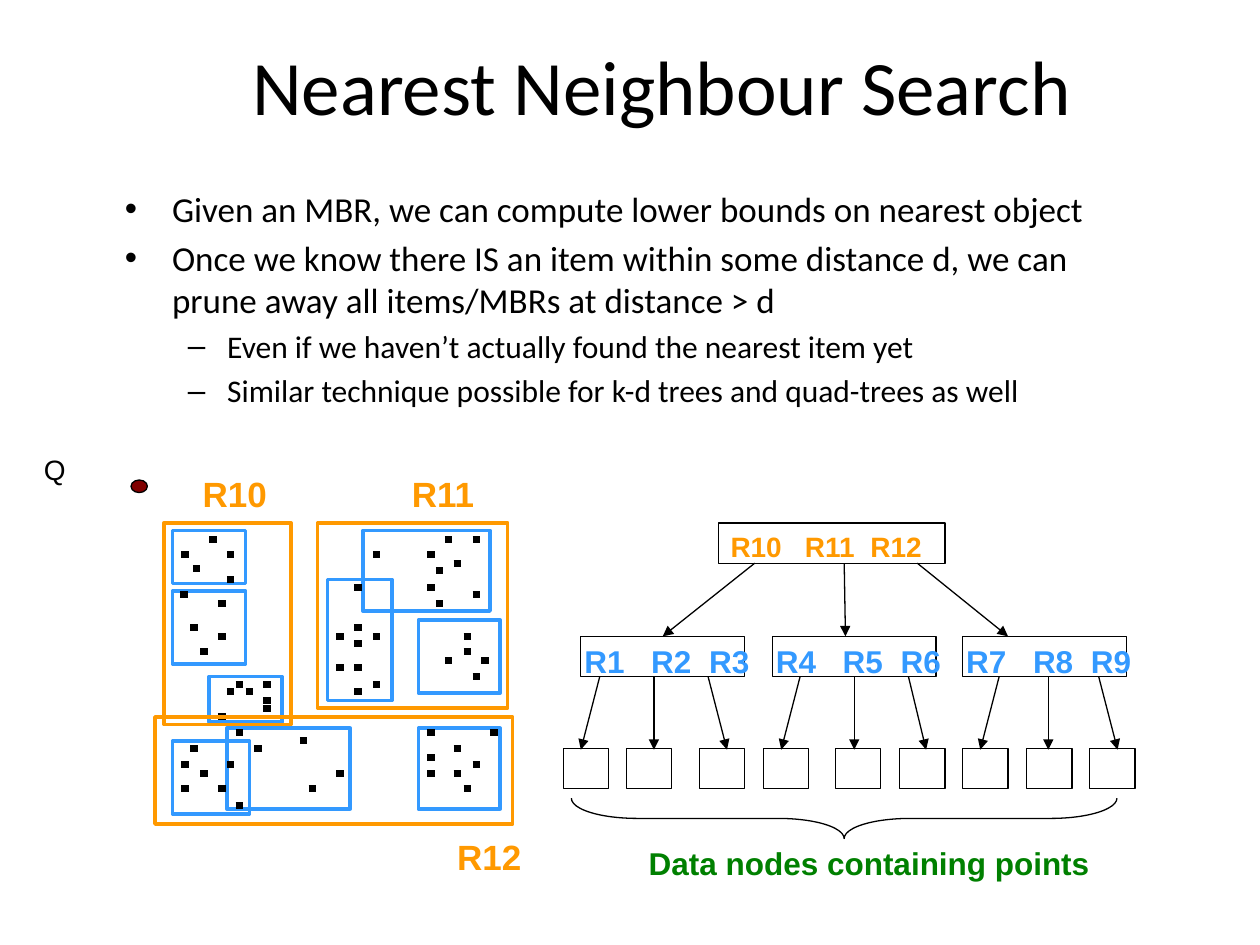
"""Build a slide on nearest neighbour search with an R-tree."""
from dataclasses import dataclass

from lxml import etree
from pptx import Presentation
from pptx import util as u
from pptx.dml.color import RGBColor
from pptx.enum import shapes
from pptx.oxml.ns import qn

PX = u.Inches(1) // 100


@dataclass(frozen=True)
class Theme:
    """Colours, fonts, type sizes and line widths."""
    black: str = "000000"
    orange: str = "FF9900"
    blue: str = "3399FF"
    green: str = "008000"
    maroon: str = "800000"
    heading_font: str = "Calibri"
    label_font: str = "Arial"
    title: int = 44
    large: int = 20
    medium: int = 18
    small: int = 16
    thin: float = 0.75
    region: int = 2
    dot: int = 4


class SlideBuilder:
    """Holds the theme and the current slide, and draws each kind of element."""

    def __init__(self, slide, theme):
        self.slide = slide
        self.theme = theme

    def place(self, shape, box):
        """Move a shape to a box of left, top, width and height."""
        shape.left, shape.top, shape.width, shape.height = (v * PX for v in box)

    def style(self, paragraph, font_name, size, color, bold=False):
        """Set the font of a whole paragraph."""
        font = paragraph.font
        font.name, font.size, font.bold = font_name, u.Pt(size), bold
        font.color.rgb = RGBColor.from_string(color)

    def title(self, box, text):
        """Fill the title placeholder."""
        shape = self.slide.shapes.title
        self.place(shape, box)
        shape.text_frame.text = text
        self.style(shape.text_frame.paragraphs[0], self.theme.heading_font,
                   self.theme.title, self.theme.black)

    def body(self, box, items):
        """Fill the body placeholder with (level, text) items."""
        shape = self.slide.placeholders[1]
        self.place(shape, box)
        frame = shape.text_frame
        frame.text = "\n".join(text for _, text in items)
        for paragraph, (level, _) in zip(frame.paragraphs, items):
            paragraph.level = level
            size = self.theme.medium if level else self.theme.large
            self.style(paragraph, self.theme.heading_font, size, self.theme.black)

    def label(self, box, text, size, color, bold=True, tabs=()):
        """Add a text box, with optional tab stops."""
        shape = self.slide.shapes.add_textbox(*(v * PX for v in box))
        frame = shape.text_frame
        frame.word_wrap = True
        frame.margin_right = 0
        paragraph = frame.paragraphs[0]
        paragraph.text = text
        if tabs:
            properties = paragraph._p.get_or_add_pPr()
            tab_list = etree.SubElement(properties, qn("a:tabLst"))
            for stop in tabs:
                etree.SubElement(tab_list, qn("a:tab"), pos=str(stop * PX), algn="l")
        self.style(paragraph, self.theme.label_font, size, color, bold)

    def outline(self, box, color, width, kind=shapes.MSO_SHAPE.RECTANGLE, fill=None):
        """Add an outlined preset shape, hollow unless a fill is given."""
        shape = self.slide.shapes.add_shape(kind, *(v * PX for v in box))
        shape.shadow.inherit = False
        if fill:
            shape.fill.solid()
            shape.fill.fore_color.rgb = RGBColor.from_string(fill)
        else:
            shape.fill.background()
        shape.line.color.rgb = RGBColor.from_string(color)
        shape.line.width = u.Pt(width)
        return shape

    def line(self, start, end, width, arrow=False):
        """Add a straight black line, with an arrowhead at its end if asked."""
        points = (v * PX for v in (*start, *end))
        connector = self.slide.shapes.add_connector(shapes.MSO_CONNECTOR.STRAIGHT, *points)
        connector.line.color.rgb = RGBColor.from_string(self.theme.black)
        connector.line.width = u.Pt(width)
        properties = connector.element.spPr
        if arrow:
            etree.SubElement(properties.find(qn("a:ln")), qn("a:tailEnd"), type="triangle")
        etree.SubElement(properties, qn("a:effectLst"))

    def node(self, box, arrows):
        """Add a tree node and the arrows to its children, given as x pairs."""
        self.outline(box, self.theme.black, self.theme.thin)
        bottom = box[1] + box[3]
        for start_x, end_x in arrows:
            self.line((start_x, bottom), (end_x, bottom + 58), self.theme.thin, arrow=True)


BULLETS = [
    (0, "Given an MBR, we can compute lower bounds on nearest object"),
    (0, "Once we know there IS an item within some distance d, we can "
        "prune away all items/MBRs at distance > d"),
    (1, "Even if we haven’t actually found the nearest item yet"),
    (1, "Similar technique possible for k-d trees and quad-trees as well"),
]
INNER_NODES = [
    (461, "R1\tR2\tR3", [(476, 461), (519, 519), (562, 577)]),
    (613, "R4\tR5\tR6", [(635, 620), (678, 678), (721, 735)]),
    (764, "R7\tR8\tR9", [(793, 778), (832, 832), (872, 887)]),
]
LEAF_LEFTS = [447, 497, 555, 606, 663, 714, 764, 815, 865]
LEAF_REGIONS = [
    (260, 460, 51, 96), (288, 421, 101, 64), (137, 421, 58, 42),
    (137, 469, 58, 58), (137, 588, 61, 58), (180, 578, 98, 64),
    (166, 537, 58, 36), (332, 578, 65, 64), (332, 492, 65, 58),
]
TOP_REGIONS = [
    ("R10", (130, 415, 101, 160), (151, 370)),
    ("R11", (252, 415, 151, 147), (317, 370)),
    ("R12", (123, 569, 284, 85), (353, 658)),
]
DOT_ROWS = {
    428: [166, 353, 375], 440: [144, 180, 296, 339], 447: [360], 451: [153],
    453: [346], 460: [180], 466: [281, 339], 472: [143, 375], 479: [173, 346],
    498: [151, 281], 505: [173, 267, 296, 368], 511: [281], 517: [159, 368],
    524: [353, 382], 530: [267, 281], 537: [375], 543: [187, 209, 296],
    549: [180, 195, 281], 556: [209], 562: [209], 569: [173],
    581: [187, 339, 389], 588: [238], 594: [151, 202, 360], 601: [339],
    607: [144, 180, 375], 614: [159, 267, 339, 360],
    626: [144, 173, 245, 368], 639: [187],
}


def draw_tree(builder):
    """Draw the R-tree with its data nodes."""
    theme = builder.theme
    builder.node((570, 415, 180, 32), [(599, 526), (670, 671), (728, 800)])
    builder.label((570, 415, 188, 37), "R10\tR11\tR12", theme.small, theme.orange,
                  tabs=(59, 111))
    for left, text, arrows in INNER_NODES:
        builder.node((left, 505, 130, 32), arrows)
        builder.label((left - 7, 505, 151, 40), text, theme.medium, theme.blue,
                      tabs=(53, 99))
    for left in LEAF_LEFTS:
        builder.outline((left, 594, 36, 32), theme.black, theme.thin)
    brace = builder.outline((654, 433, 32, 433), theme.black, theme.thin,
                            shapes.MSO_SHAPE.LEFT_BRACE)
    brace.rotation = 270
    brace.adjustments[0] = 1.63
    builder.label((505, 665, 382, 40), "Data nodes containing points",
                  theme.medium, theme.green)


def draw_map(builder):
    """Draw the points, their bounding regions and the query point."""
    theme = builder.theme
    for box in LEAF_REGIONS:
        builder.outline(box, theme.blue, theme.region)
    for y, lefts in DOT_ROWS.items():
        for x in lefts:
            builder.line((x, y), (x + 6, y), theme.dot)
    for name, box, corner in TOP_REGIONS:
        builder.outline(box, theme.orange, theme.region)
        builder.label((*corner, 71, 44), name, theme.large, theme.orange)
    builder.outline((104, 381, 13, 10), theme.black, theme.thin,
                    shapes.MSO_SHAPE.OVAL, theme.maroon)
    builder.label((25, 354, 37, 37), "Q", theme.small, theme.black, bold=False)


def main():
    """Build and save the presentation."""
    presentation = Presentation()
    presentation.slide_width, presentation.slide_height = 1000 * PX, 750 * PX
    slide = presentation.slides.add_slide(presentation.slide_layouts[1])
    builder = SlideBuilder(slide, Theme())
    builder.title((84, 25, 883, 84), "Nearest Neighbour Search")
    builder.body((89, 144, 838, 231), BULLETS)
    draw_tree(builder)
    draw_map(builder)
    presentation.save("out.pptx")


if __name__ == "__main__":
    main()
